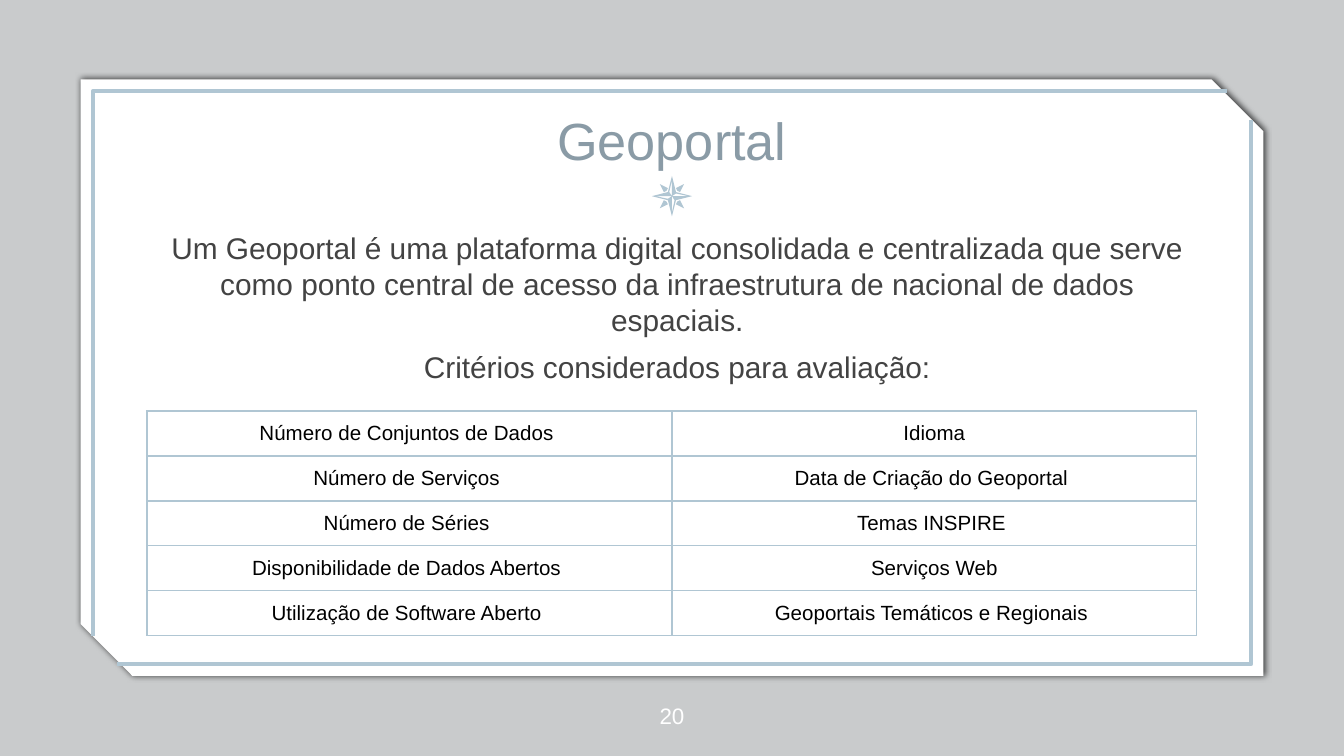
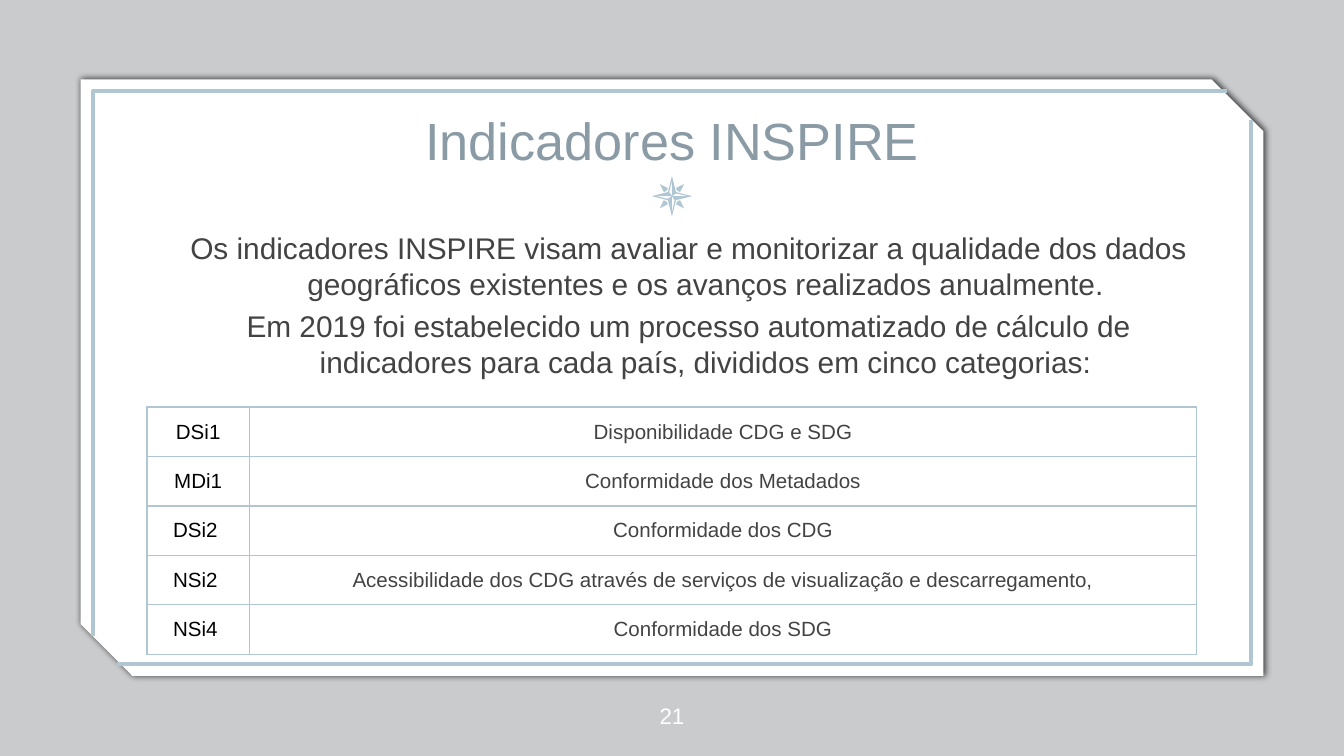
from lxml import etree
from pptx import Presentation
from pptx.dml.color import RGBColor
from pptx.enum import shapes, text
from pptx.oxml import ns
from pptx.util import Inches, Pt

COLORS = {"veil": "040E11", "card": "FFFFFF", "accent": "B0C6D3", "title": "8A9BA6",
          "body": "434343", "cell": "000000", "number": "FFFFFF", "shadow": "000000"}
FONT = "Arial"
WIDTH = 10
HEIGHT = WIDTH * 9 / 16
CARD = (0.6, 0.59, 8.8, 4.44)
TEXT_WIDTH = 7.81
TEXT_LEFT = (WIDTH - TEXT_WIDTH) / 2
TITLE = (TEXT_LEFT, 0.67, TEXT_WIDTH, 0.6)
BODY = (TEXT_LEFT, 1.71, TEXT_WIDTH, 3.02)
NUMBER = (4.7, HEIGHT - 0.6, 0.6, 0.6)
STAR_CENTER = (5, 1.46)
FIRST_NUMBER = 20


def rgb(name):
    return RGBColor.from_string(COLORS[name])


def inches(box):
    return [Inches(v) for v in box]


def sub(parent, tag, **attrs):
    return etree.SubElement(parent, ns.qn(tag), {k: str(v) for k, v in attrs.items()})


def fill_plain(sp, color):
    sp.shadow.inherit = False
    sp.fill.solid()
    sp.fill.fore_color.rgb = rgb(color)
    sp.line.fill.background()


def add_outline(s, contours, close=True):
    """Build one freeform from contours given in slide inches."""
    points = [[inches(point) for point in contour] for contour in contours]
    fb = s.shapes.build_freeform(*points[0][0])
    for i, contour in enumerate(points):
        if i:
            fb.move_to(*contour[0])
        fb.add_line_segments(contour[1:], close=close)
    return fb.convert_to_shape()


def draw_veil(s):
    sp = s.shapes.add_shape(shapes.MSO_SHAPE.RECTANGLE, *inches((0, 0, WIDTH, HEIGHT)))
    fill_plain(sp, "veil")
    color = sp.element.spPr.find(".//" + ns.qn("a:srgbClr"))
    sub(color, "a:alpha", val=21000)


def draw_card(s, box):
    left, top, width, height = box
    sp = s.shapes.add_shape(shapes.MSO_SHAPE.SNIP_2_DIAG_RECTANGLE, *inches(box))
    sp.adjustments[0], sp.adjustments[1] = 0, 0.087
    fill_plain(sp, "card")
    effects = sp.element.spPr.find(ns.qn("a:effectLst"))
    shadow = sub(effects, "a:outerShdw", blurRad=Pt(3.4), dist=Pt(0.8), dir=0,
                 algn="bl", rotWithShape=0)
    sub(sub(shadow, "a:srgbClr", val=COLORS["shadow"]), "a:alpha", val=68000)

    gap = 0.09
    corner = [(gap, height - 0.3), (gap, gap), (width - 0.27, gap)]
    opposite = [(width - x, height - y) for x, y in corner]
    for bracket in (corner, opposite):
        sp = add_outline(s, [[(left + x, top + y) for x, y in bracket]], close=False)
        sp.shadow.inherit = False
        sp.fill.background()
        sp.line.color.rgb = rgb("accent")
        sp.line.width = Pt(2.25)


def quarter_turns(points):
    """Return the points turned by 0, 90, 180 and 270 degrees."""
    turns = [points]
    for _ in range(3):
        turns.append([(-y, x) for x, y in turns[-1]])
    return turns


def draw_compass(s, center):
    cx, cy = center
    rim = sum(quarter_turns([(-0.03, -0.03), (0, -0.15)]), [])
    holes = quarter_turns([(0, -0.12), (-0.02, -0.03), (0, 0)])
    petals = quarter_turns([(-0.09, -0.09), (-0.06, -0.03), (-0.04, -0.04), (-0.03, -0.06)])
    for contours in [[petal] for petal in petals] + [[rim] + holes]:
        moved = [[(cx + x, cy + y) for x, y in contour] for contour in contours]
        fill_plain(add_outline(s, moved), "accent")


def build_backdrop(s, layout):
    """Draw the shared backdrop, then move it to the layout."""
    kept = len(s.shapes)
    draw_veil(s)
    draw_card(s, CARD)
    draw_compass(s, STAR_CENTER)
    for i, sp in enumerate(list(s.shapes)[kept:]):
        sp.element.find(".//" + ns.qn("p:cNvPr")).set("id", str(100 + i))
        layout.shapes.element.insert(2 + i, sp.element)


def format_paragraph(p, size, color):
    p.alignment = text.PP_ALIGN.CENTER
    for r in p.runs:
        r.font.name = FONT
        r.font.size = Pt(size)
        r.font.color.rgb = rgb(color)


def write(tf, lines, size, color, anchor):
    tf.word_wrap = True
    tf.auto_size = text.MSO_AUTO_SIZE.NONE
    tf.vertical_anchor = anchor
    tf.margin_left = tf.margin_top = tf.margin_right = tf.margin_bottom = 0
    tf.text = "\n".join(lines)
    for p in tf.paragraphs:
        format_paragraph(p, size, color)


def place(sp, box):
    sp.left, sp.top, sp.width, sp.height = inches(box)
    return sp.text_frame


def fill_title(s, title):
    write(place(s.shapes.title, TITLE), [title], 28, "title", text.MSO_ANCHOR.BOTTOM)


def fill_body(s, lines, margin, indent, gap):
    tf = place(s.placeholders[1], BODY)
    write(tf, lines, 16, "body", text.MSO_ANCHOR.TOP)
    for i, p in enumerate(tf.paragraphs):
        pPr = p._p.get_or_add_pPr()
        pPr.set("marL", str(Inches(margin)))
        pPr.set("indent", str(Inches(indent)))
        sub(pPr, "a:buNone")
        p.line_spacing = 1.0
        p.space_before = Pt(gap if i else 0)


def add_number(s, number):
    tb = s.shapes.add_textbox(*inches(NUMBER))
    write(tb.text_frame, [str(number)], 12, "number", text.MSO_ANCHOR.MIDDLE)


def set_borders(cell, widths):
    tcPr = cell._tc.get_or_add_tcPr()
    for i, (side, width) in enumerate(widths.items()):
        ln = etree.Element(ns.qn("a:ln" + side), w=str(Pt(width)), cap="flat", cmpd="sng")
        sub(sub(ln, "a:solidFill"), "a:srgbClr", val=COLORS["accent"])
        sub(ln, "a:prstDash", val="solid")
        tcPr.insert(i, ln)


def add_grid(s, rows, top, height, first_width, second_color):
    col_widths = (first_width, TEXT_WIDTH - first_width)
    box = (TEXT_LEFT, top, TEXT_WIDTH, height)
    table = s.shapes.add_table(len(rows), len(col_widths), *inches(box)).table
    table.first_row = table.horz_banding = False
    for column, width in zip(table.columns, col_widths):
        column.width = Inches(width)
    for i, row in enumerate(rows):
        for j, value in enumerate(row):
            cell = table.cell(i, j)
            cell.text = value
            cell.vertical_anchor = text.MSO_ANCHOR.MIDDLE
            cell.margin_left = cell.margin_right = Inches(0.1)
            cell.margin_top = cell.margin_bottom = Inches(0.07)
            format_paragraph(cell.text_frame.paragraphs[0], 11,
                             second_color if j else "cell")
            cell.fill.background()
            set_borders(cell, {"L": 0.75 if j else 1.5, "R": 0.75,
                               "T": 0.75 if i else 1.5, "B": 0.75})


def build_slide(s, number, title, body, grid):
    fill_title(s, title)
    fill_body(s, **body)
    add_number(s, number)
    add_grid(s, **grid)


SLIDES = [
    {"title": "Geoportal",
     "body": {"lines": [
         "Um Geoportal é uma plataforma digital consolidada e centralizada que serve como "
         "ponto central de acesso da infraestrutura de nacional de dados espaciais.",
         "Critérios considerados para avaliação:"],
         "margin": 0.08, "indent": 0, "gap": 6},
     "grid": {"rows": [
         ("Número de Conjuntos de Dados ", "Idioma"),
         ("Número de Serviços ", "Data de Criação do Geoportal "),
         ("Número de Séries ", "Temas INSPIRE "),
         ("Disponibilidade de Dados Abertos ", "Serviços Web"),
         ("Utilização de Software Aberto ", "Geoportais Temáticos e Regionais ")],
         "top": 3.06, "height": 1.67, "first_width": TEXT_WIDTH / 2,
         "second_color": "cell"}},
    {"title": "Indicadores INSPIRE",
     "body": {"lines": [
         "Os indicadores INSPIRE visam avaliar e monitorizar a qualidade dos dados "
         "geográficos existentes e os avanços realizados anualmente.",
         "Em 2019 foi estabelecido um processo automatizado de cálculo de indicadores "
         "para cada país, divididos em cinco categorias:"],
         "margin": 0.5, "indent": -0.25, "gap": 3.6},
     "grid": {"rows": [
         ("DSi1", "Disponibilidade CDG e SDG"),
         ("MDi1", "Conformidade dos Metadados"),
         ("DSi2 ", "Conformidade dos CDG"),
         ("NSi2 ", "Acessibilidade dos CDG através de serviços de visualização e "
                   "descarregamento,"),
         ("NSi4 ", "Conformidade dos SDG")],
         "top": 3.03, "height": 1.84, "first_width": 0.76,
         "second_color": "body"}},
]


def main():
    prs = Presentation()
    prs.slide_width, prs.slide_height = inches((WIDTH, HEIGHT))
    layout = prs.slide_layouts[1]
    for number, content in enumerate(SLIDES, FIRST_NUMBER):
        s = prs.slides.add_slide(layout)
        if number == FIRST_NUMBER:
            build_backdrop(s, layout)
        build_slide(s, number, **content)
    prs.save("out.pptx")


if __name__ == "__main__":
    main()
